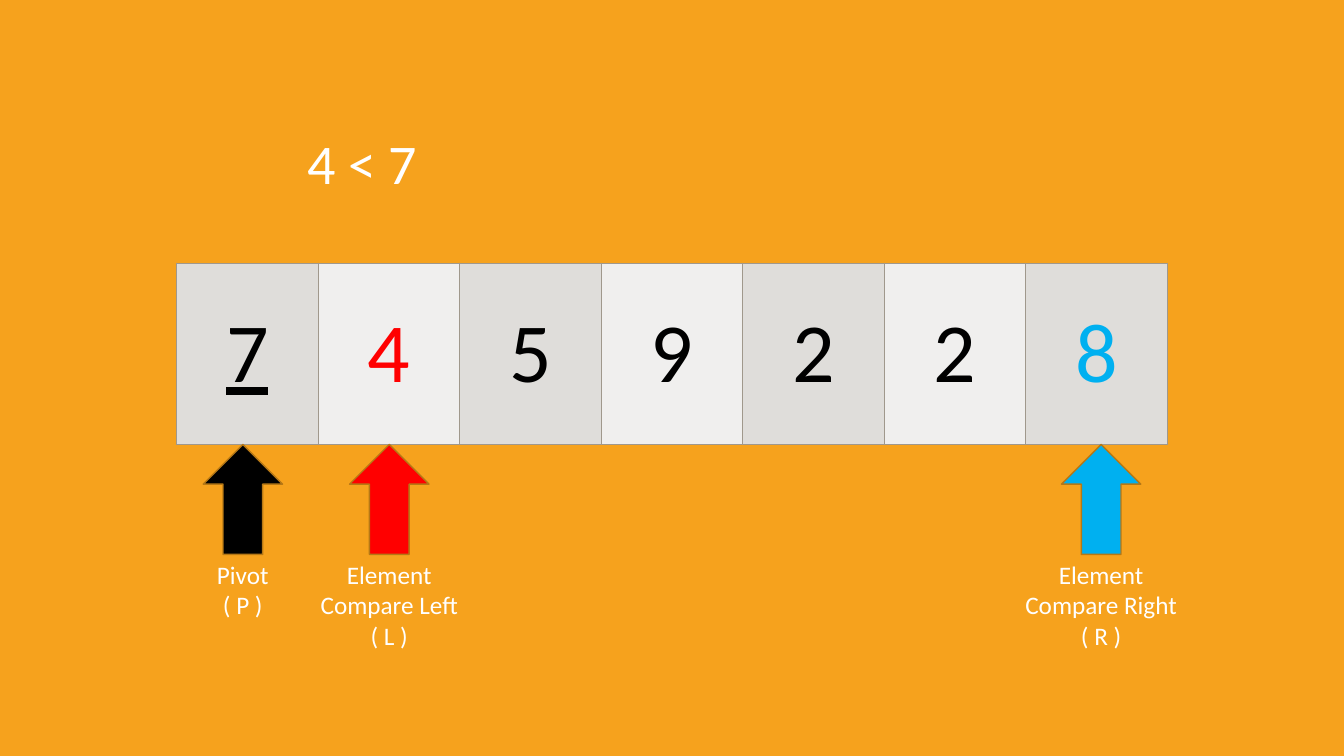
"""Build a quicksort partition slide comparing the left element with the pivot."""
from lxml import etree
from pptx import Presentation
from pptx import util as u
from pptx.dml.color import RGBColor
from pptx.enum import shapes, text
from pptx.oxml import ns


def rgb(value):
    """Turn a hex string into a colour."""
    return RGBColor.from_string(value)


class Board:
    """Hold the style and the current slide."""

    font = "Calibri"
    white, black, red, blue = "FFFFFF", "000000", "FF0000", "00B0F0"
    background, bands = "F6A21D", ("DFDDDA", "F0EFEE")
    border, outline = "A0988C", "B67815"

    def __init__(self, prs):
        """Add a blank slide with a plain background."""
        self.s = prs.slides.add_slide(prs.slide_layouts[6])
        fill = self.s.background.fill
        fill.solid()
        fill.fore_color.rgb = rgb(self.background)

    def add_text(self, p, words, color, **formats):
        """Put one formatted run into a paragraph."""
        r = p.add_run()
        r.text = words
        r.font.color.rgb = rgb(color)
        for name, value in {"name": self.font, **formats}.items():
            setattr(r.font, name, value)

    def frame(self, cell):
        """Draw a thin line on all four sides of a cell."""
        tc_pr = cell._tc.get_or_add_tcPr()
        for i, side in enumerate(("lnL", "lnR", "lnT", "lnB")):
            ln = etree.Element(ns.qn("a:" + side), w=str(u.Pt(1)))
            fill = etree.SubElement(ln, ns.qn("a:solidFill"))
            etree.SubElement(fill, ns.qn("a:srgbClr"), val=self.border)
            tc_pr.insert(i, ln)

    def array(self, values, colors, left, top, width, height):
        """Show the values as one row of cells in alternating shades."""
        table = self.s.shapes.add_table(
            1, len(values), u.Cm(left), u.Cm(top), u.Cm(width), u.Cm(height)).table
        table.first_row = table.horz_banding = False
        for i, value in enumerate(values):
            cell = table.cell(0, i)
            cell.vertical_anchor = text.MSO_ANCHOR.MIDDLE
            cell.fill.solid()
            cell.fill.fore_color.rgb = rgb(self.bands[i % 2])
            self.frame(cell)
            p = cell.text_frame.paragraphs[0]
            p.alignment = text.PP_ALIGN.CENTER
            self.add_text(p, str(value), colors.get(i, self.black),
                          size=u.Pt(60), underline=i == 0)

    def arrow(self, center, top, width, height, color):
        """Point an arrow up at the array."""
        sp = self.s.shapes.add_shape(
            shapes.MSO_SHAPE.DOWN_ARROW, u.Cm(center - width / 2), u.Cm(top),
            u.Cm(width), u.Cm(height))
        sp.rotation = 180
        sp.shadow.inherit = False
        sp.fill.solid()
        sp.fill.fore_color.rgb = rgb(color)
        sp.line.color.rgb = rgb(self.outline)
        sp.line.width = u.Pt(1)

    def label(self, lines, left, top, width, height, size,
              align=text.PP_ALIGN.CENTER, fit=text.MSO_AUTO_SIZE.SHAPE_TO_FIT_TEXT):
        """Set white lines of text in a wrapping box."""
        tf = self.s.shapes.add_textbox(
            u.Cm(left), u.Cm(top), u.Cm(width), u.Cm(height)).text_frame
        for name, value in {"word_wrap": True, "auto_size": fit}.items():
            setattr(tf, name, value)
        for i, line in enumerate(lines):
            p = tf.add_paragraph() if i else tf.paragraphs[0]
            p.alignment = align
            self.add_text(p, line, self.white, size=u.Pt(size))


def main():
    """Lay out the array, its three markers and the comparison."""
    prs = Presentation()
    prs.slide_width, prs.slide_height = u.Cm(33.87), u.Cm(19.05)
    board = Board(prs)
    top, height, arrow_height = 6.63, 4.57, 2.77
    board.array([7, 4, 5, 9, 2, 2, 8], {1: board.red, 6: board.blue},
                4.45, top, 24.97, height)
    markers = [
        (6.12, 4.14, 1.8, board.black, ["Pivot", "( P )"]),
        (9.81, 4.14, 2.57, board.red, ["Element Compare Left", "( L )"]),
        (27.75, 4.45, 2.57, board.blue, ["Element Compare Right", "( R )"]),
    ]
    bottom = top + height
    for center, width, label_height, color, lines in markers:
        board.arrow(center, bottom, 2, arrow_height, color)
        board.label(lines, center - width / 2, bottom + arrow_height,
                    width, label_height, 18)
    board.label(["4 < 7"], 7.49, 3.12, 18.9, 3.5, 40,
                text.PP_ALIGN.LEFT, text.MSO_AUTO_SIZE.NONE)
    prs.save("out.pptx")


if __name__ == "__main__":
    main()
